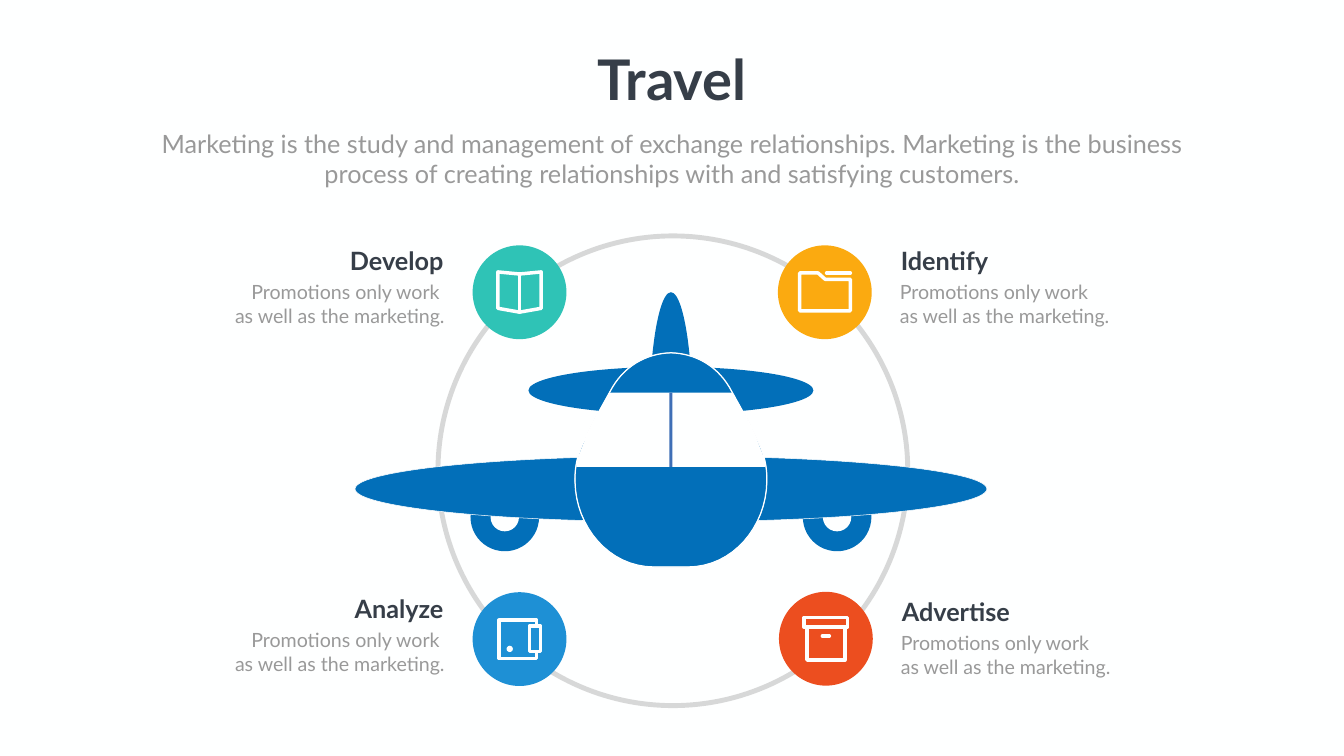
from lxml import etree
from pptx import Presentation
from pptx.dml.color import RGBColor
from pptx.enum.shapes import MSO_CONNECTOR as CONN, MSO_SHAPE as SHAPE
from pptx.enum.text import MSO_ANCHOR as ANCHOR, MSO_AUTO_SIZE as AUTO, PP_ALIGN as ALIGN
from pptx.oxml.ns import qn
from pptx.util import Pt

FONT = "Lato"
WHITE, PLANE, DARK, GREY = "FEFFFF", "026FB9", "363E48", "999999"
ICON_LINE = 5


def color(hex_code):
    return RGBColor.from_string(hex_code)


def style(sp, fill=None, line=None, width=0.75):
    sp.shadow.inherit = False
    if fill:
        sp.fill.solid()
        sp.fill.fore_color.rgb = color(fill)
    else:
        sp.fill.background()
    if line:
        sp.line.color.rgb = color(line)
        sp.line.width = Pt(width)
    else:
        sp.line.fill.background()
    return sp


def add_preset(s, kind, x, y, w, h, **look):
    return style(s.shapes.add_shape(kind, Pt(x), Pt(y), Pt(w), Pt(h)), **look)


def add_oval(s, x, y, w, h, **look):
    return add_preset(s, SHAPE.OVAL, x, y, w, h, **look)


def add_outline(s, x, y, points, closed=True, **look):
    """Polygon or open path whose points are relative to (x, y)."""
    pts = [(Pt(x + px), Pt(y + py)) for px, py in points]
    builder = s.shapes.build_freeform(*pts[0], scale=1.0)
    builder.add_line_segments(pts[1:], close=closed)
    sp = style(builder.convert_to_shape(), **look)
    if look.get("line"):
        etree.SubElement(sp.line._get_or_add_ln(), qn("a:round"))
    return sp


def add_bar(s, x, y, x1, y1, x2, y2):
    """Straight icon stroke with round ends."""
    cn = s.shapes.add_connector(CONN.STRAIGHT, Pt(x + x1), Pt(y + y1), Pt(x + x2), Pt(y + y2))
    cn.line.color.rgb = color(WHITE)
    cn.line.width = Pt(ICON_LINE)
    cn.line._get_or_add_ln().set("cap", "rnd")
    etree.SubElement(cn._element.spPr, qn("a:effectLst"))


def write(sp, lines, size, hex_code, align, bold=False, wrap=True):
    tf = sp.text_frame
    tf.word_wrap = wrap
    tf.auto_size = AUTO.SHAPE_TO_FIT_TEXT
    tf.vertical_anchor = ANCHOR.TOP
    for i, text in enumerate(lines):
        p = tf.add_paragraph() if i else tf.paragraphs[0]
        p.alignment = align
        p.space_before = Pt(0)
        r = p.add_run()
        r.text = text
        r.font.name, r.font.size, r.font.bold = FONT, Pt(size), bold
        r.font.color.rgb = color(hex_code)


def place(sp, x, y, w, h):
    sp.left, sp.top, sp.width, sp.height = Pt(x), Pt(y), Pt(w), Pt(h)
    return sp


def bezier(p0, p1, p2, p3, steps=16):
    """Points of a cubic curve, without its start."""
    curve = []
    for i in range(1, steps + 1):
        t = i / steps
        weights = ((1 - t) ** 3, 3 * t * (1 - t) ** 2, 3 * t * t * (1 - t), t ** 3)
        curve.append(tuple(sum(k * p[a] for k, p in zip(weights, (p0, p1, p2, p3)))
                           for a in (0, 1)))
    return curve


def mirrored(right_half):
    return right_half + [(-x, y) for x, y in reversed(right_half)]


def add_header(s, x, y, w):
    title = place(s.shapes.title, x + (w - 242) / 2, y, 242, 104)
    write(title, ["Travel"], 80, DARK, ALIGN.CENTER, bold=True, wrap=False)
    body = place(s.placeholders[1], x, y + 119, w, 94)
    write(body, ["Marketing is the study and management of exchange relationships. "
                 "Marketing is the business process of creating relationships with "
                 "and satisfying customers."], 36, GREY, ALIGN.CENTER)


def add_ring(s, x, y, size):
    ring = add_oval(s, x, y, size, size, line="808080", width=7)
    clr = ring.line._get_or_add_ln().find(".//" + qn("a:srgbClr"))
    etree.SubElement(clr, qn("a:alpha"), val="30000")


def add_plane(s, x, y, w):
    """Front view of the plane; y is the top of the tail fin."""
    cx = x + w / 2
    # Wheels, drawn before the wing that covers their tops
    for wheel_x in (cx + 237.3, cx - 237.3):
        add_oval(s, wheel_x - 49, y + 272, 98, 98, fill=PLANE)
        add_oval(s, wheel_x - 20.3, y + 301, 40.6, 40.6, fill=WHITE)
    # Main wing, rear wing and tail fin
    add_oval(s, x, y + 234, w, 94, fill=PLANE, line="FFFFFF")
    add_oval(s, cx - 203.5, y + 106.5, 407, 67.5, fill=PLANE)
    add_oval(s, cx - 31, y, 62, 369, fill=PLANE)
    # Fuselage, windscreen and the final white contour
    top = y + 86.5
    half = [(0, 0)]
    half += bezier((0, 0), (36, 1), (68.5, 19.5), (87, 55.5))
    half += [(110, 97), (121.5, 121)]
    half += bezier((121.5, 121), (132, 140), (137, 160), (137, 179))
    half += [(137, 184)]
    half += bezier((137, 184), (136, 248), (89, 306), (24, 306))
    fuselage = mirrored(half)
    screen = mirrored([(88, 57), (110, 97), (121.5, 121), (134, 152.5), (135, 163)])
    add_outline(s, cx, top, fuselage, fill=PLANE, line="FFFFFF")
    add_outline(s, cx, top, screen, fill=WHITE)
    add_preset(s, SHAPE.RECTANGLE, cx - 2.2, top + 57, 4.4, 106, fill="3F6FB6")
    add_outline(s, cx, top, fuselage, line="FFFFFF", width=1.79)


def rect(x1, y1, x2, y2):
    return [(x1, y1), (x2, y1), (x2, y2), (x1, y2)]


# Icon strokes, relative to the middle of the disc: (points, closed)
ICONS = {
    "book": [([(-31, -29), (0, -26), (31, -29), (31, 23), (0, 28.5), (-31, 23)], True)],
    "folder": [([(-36, -27.5), (-9.5, -27.5), (0.5, -18.5), (36.5, -18.5),
                 (36.5, 26.5), (-36, 26.5)], True)],
    "wallet": [([(24.5, -18.5), (24.5, -27), (-29.5, -27), (-29.5, 27.5),
                 (24.5, 27.5), (24.5, 18.5)], False),
               (rect(14, -18.5, 30, 18), True)],
    "box": [(rect(-31, -30.5, 31, -16.5), True), (rect(-27, -16.5, 27, 30.5), True)],
}
BARS = {"book": (0, -26, 0, 28.5), "folder": (2.5, -27.5, 36.5, -27.5), "box": (-5, -4, 5, -4)}


def add_badge(s, x, y, size, fill, icon):
    add_oval(s, x, y, size, size, fill=fill)
    cx, cy = x + size / 2, y + size / 2
    for points, closed in ICONS[icon]:
        add_outline(s, cx, cy, points, closed, line=WHITE, width=ICON_LINE)
    if icon in BARS:
        add_bar(s, cx, cy, *BARS[icon])
    else:  # wallet clasp
        add_oval(s, cx - 18.5, cy + 9.5, 9, 9, fill=WHITE)


def add_caption(s, x, y, w, heading, on_left):
    align = ALIGN.RIGHT if on_left else ALIGN.LEFT
    head_x = x + w - 188 - 1.5 if on_left else x + 1.5
    head = s.shapes.add_textbox(Pt(head_x), Pt(y), Pt(188), Pt(51))
    write(head, [heading], 36, DARK, align, bold=True)
    first = "Promotions only work " if on_left else "Promotions only work"
    body = s.shapes.add_textbox(Pt(x), Pt(y + 50), Pt(w), Pt(75))
    write(body, [first, "as well as the marketing."], 28, GREY, align)


def main():
    prs = Presentation()
    prs.slide_width, prs.slide_height = Pt(1919.52), Pt(1080)
    s = prs.slides.add_slide(prs.slide_layouts[0])
    s.background.fill.solid()
    s.background.fill.fore_color.rgb = color(WHITE)

    add_header(s, 193, 60.5, 1533.5)
    add_ring(s, 625.5, 337, 671)
    add_plane(s, 507, 417.5, 902.5)

    # heading, icon, disc colour, disc corner, caption corner, caption on the left
    steps = [
        ("Develop", "book", "2FC3B6", (675, 350.5), (286, 346.5), True),
        ("Analyze", "wallet", "1E90D5", (675, 846), (286, 844), True),
        ("Identify", "folder", "FBAA10", (1111, 350.5), (1278, 346.5), False),
        ("Advertise", "box", "EC4E1F", (1112.5, 845.5), (1279.5, 848), False),
    ]
    for heading, icon, fill, disc, caption, on_left in steps:
        add_badge(s, *disc, 134, fill, icon)
        add_caption(s, *caption, 356, heading, on_left)
    prs.save("out.pptx")


if __name__ == "__main__":
    main()
